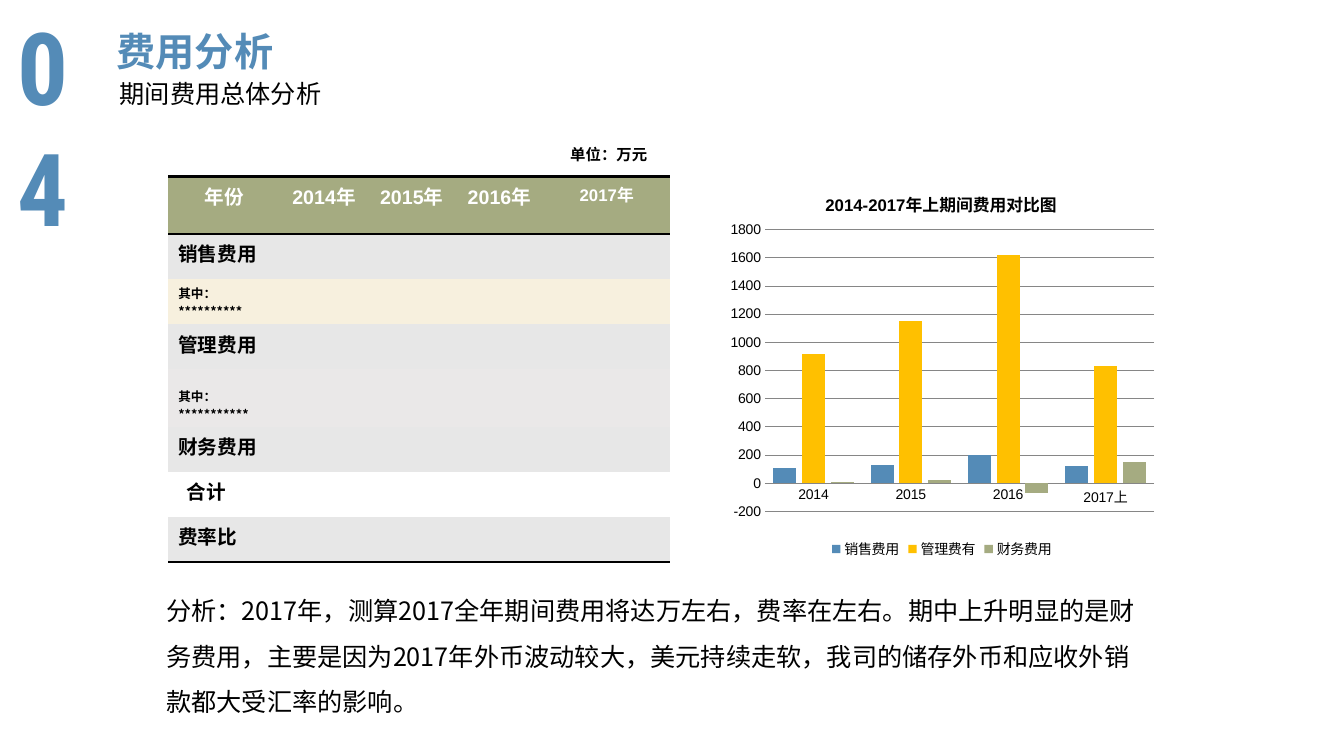
from lxml import etree
from pptx import Presentation
from pptx.chart.data import CategoryChartData
from pptx.dml.color import RGBColor
from pptx.enum.chart import XL_CHART_TYPE, XL_LEGEND_POSITION, XL_TICK_MARK
from pptx.enum.text import MSO_ANCHOR, PP_ALIGN
from pptx.oxml.ns import qn
from pptx.util import Cm, Pt

COLUMNS = XL_CHART_TYPE.COLUMN_CLUSTERED
LEGEND_BOTTOM = XL_LEGEND_POSITION.BOTTOM
NO_TICK = XL_TICK_MARK.NONE
LEFT, CENTER = PP_ALIGN.LEFT, PP_ALIGN.CENTER
TOP, MIDDLE, BOTTOM = MSO_ANCHOR.TOP, MSO_ANCHOR.MIDDLE, MSO_ANCHOR.BOTTOM

BLUE = RGBColor(0x54, 0x8B, 0xB7)
YELLOW = RGBColor(0xFF, 0xC0, 0x00)
OLIVE = RGBColor(0xA5, 0xAB, 0x81)
GRAY = RGBColor(0xE7, 0xE7, 0xE7)
PALE = RGBColor(0xEA, 0xE8, 0xE8)
CREAM = RGBColor(0xF7, 0xF0, 0xDE)
GRID = RGBColor(0x86, 0x86, 0x86)
WHITE = RGBColor(0xFF, 0xFF, 0xFF)
BLACK = RGBColor(0, 0, 0)

ARIAL, NOTO, ROBOTO = "Arial", "Noto Sans CJK SC", "Roboto Condensed"
NO_STYLE = "{2D5ABB26-0587-4C30-8999-92F81FD0307C}"

YEARS = ["年份", "2014年", "2015年", "2016年", "2017年"]
COL_WIDTHS = [2.82, 2.21, 2.21, 2.21, 3.2]
ROW_HEIGHT = 1.14
# Row label, size, fill
ROWS = [
    ("销售费用", 14, GRAY),
    ("其中：\n**********", 9, CREAM),
    ("管理费用", 14, GRAY),
    ("其中：\n***********", 9, PALE),
    ("财务费用", 14, GRAY),
    ("合计", 14, WHITE),
    ("费率比", 14, GRAY),
]
SECOND_DETAIL, TOTAL = 4, 6

CATEGORIES = ["2014", "2015", "2016", "2017上"]
SERIES = [
    ("销售费用", (110, 130, 200, 120), BLUE),
    ("管理费有", (920, 1150, 1620, 830), YELLOW),
    ("财务费用", (10, 20, -70, 150), OLIVE),
]


def write(tf, text, size, color=BLACK, font=ARIAL, bold=False, align=LEFT):
    """Fill a text frame, one paragraph per line, with one format."""
    tf.text = text
    for p in tf.paragraphs:
        p.alignment = align
        p.font.size, p.font.bold, p.font.name = Pt(size), bold, font
        p.font.color.rgb = color
        def_rpr = p._p.pPr.find(qn("a:defRPr"))
        etree.SubElement(def_rpr, qn("a:ea"), typeface=NOTO)


def add_text(s, box, text, size, **style):
    tf = s.shapes.add_textbox(*map(Cm, box)).text_frame
    tf.word_wrap = True
    write(tf, text, size, **style)
    return tf


def add_heading(s, box):
    left, top, width, height = box
    # Section number, one digit per line
    tf = add_text(s, (left, top, 2.87, 3.33), "04", 72,
                  color=BLUE, font=ROBOTO, bold=True)
    tf.margin_right = Cm(0.6)
    # Title
    title = s.shapes.title
    title.left, title.top = Cm(left + 2.44), Cm(top + 0.53)
    title.width, title.height = Cm(width - 2.44), Cm(1.5)
    tf = title.text_frame
    tf.margin_left = tf.margin_right = Cm(0.3)
    tf.margin_top = tf.margin_bottom = Cm(0.15)
    tf.vertical_anchor = MIDDLE
    write(tf, "费用分析", 28, color=BLUE, font=NOTO, bold=True)
    # Subtitle
    add_text(s, (left + 2.57, top + 1.85, width - 2.8, 1.02), "期间费用总体分析", 18)


def add_border(cell, side):
    ln = etree.Element(qn("a:" + side), w=str(Pt(2)))
    fill = etree.SubElement(ln, qn("a:solidFill"))
    etree.SubElement(fill, qn("a:srgbClr"), val=str(BLACK))
    tc_pr = cell._tc.get_or_add_tcPr()
    tc_pr.insert(len(tc_pr.findall(qn("a:lnT"))), ln)


def add_cost_table(s, box):
    left, top, width, height = box
    # Unit note
    add_text(s, (left + 9.88, top - 0.91, 3.6, 0.74), "单位：万元", 11, bold=True)
    # Grid
    table = s.shapes.add_table(len(ROWS) + 1, len(YEARS), *map(Cm, box)).table
    table._tbl.tblPr.find(qn("a:tableStyleId")).text = NO_STYLE
    table.first_row = table.horz_banding = False
    for col, col_width in zip(table.columns, COL_WIDTHS):
        col.width = Cm(col_width)
    for row in table.rows:
        row.height = Cm(ROW_HEIGHT)
    table.rows[SECOND_DETAIL].height = Cm(1.44)
    # Header row
    for i, year in enumerate(YEARS):
        cell = table.cell(0, i)
        size = 12 if i == len(YEARS) - 1 else 14
        write(cell.text_frame, year, size, color=WHITE, bold=True, align=CENTER)
        cell.fill.solid()
        cell.fill.fore_color.rgb = OLIVE
        add_border(cell, "lnT")
        add_border(cell, "lnB")
    # Cost rows
    for r, (label, size, color) in enumerate(ROWS, 1):
        for c in range(len(YEARS)):
            cell = table.cell(r, c)
            write(cell.text_frame, "" if c else label, size, font=NOTO, bold=True)
            cell.fill.solid()
            cell.fill.fore_color.rgb = color
            if r == len(ROWS):
                add_border(cell, "lnB")
    detail = table.cell(SECOND_DETAIL, 0)
    detail.vertical_anchor, detail.margin_bottom = BOTTOM, Cm(0.08)
    table.cell(TOTAL, 0).margin_left = Cm(0.47)


def place(node, index, **fractions):
    """Give a chart part a fixed place, in fractions of the chart."""
    old = node.find(qn("c:layout"))
    if old is not None:
        node.remove(old)
    layout = etree.Element(qn("c:layout"))
    manual = etree.SubElement(layout, qn("c:manualLayout"))
    if "w" in fractions:
        etree.SubElement(manual, qn("c:layoutTarget"), val="inner")
    for axis in "xy":
        etree.SubElement(manual, qn(f"c:{axis}Mode"), val="edge")
    for key, value in fractions.items():
        etree.SubElement(manual, qn("c:" + key), val=str(value))
    node.insert(index, layout)


def add_cost_chart(s, box):
    data = CategoryChartData()
    data.categories = CATEGORIES
    for name, values, _ in SERIES:
        data.add_series(name, values)
    chart = s.shapes.add_chart(COLUMNS, *map(Cm, box), data).chart
    chart.font.size, chart.font.name = Pt(10), ARIAL
    chart.font.color.rgb = BLACK
    # Title and legend
    write(chart.chart_title.text_frame, "2014-2017年上期间费用对比图", 12,
          bold=True, align=CENTER)
    chart.chart_title.include_in_layout = False
    place(chart.chart_title._element, 1, x=0.23, y=0.05)
    chart.has_legend = True
    chart.legend.position = LEGEND_BOTTOM
    chart.legend.include_in_layout = False
    # Columns
    plot = chart.plots[0]
    plot.gap_width, plot.overlap, plot.vary_by_categories = 75, -25, False
    for series, (_, _, color) in zip(plot.series, SERIES):
        series.invert_if_negative = False
        series.format.fill.solid()
        series.format.fill.fore_color.rgb = color
    # Axes
    cats, vals = chart.category_axis, chart.value_axis
    cats.major_tick_mark = vals.major_tick_mark = NO_TICK
    cats.format.line.color.rgb = GRID
    vals.format.line.fill.background()
    vals.minimum_scale, vals.maximum_scale, vals.major_unit = -200, 1800, 200
    vals.major_gridlines.format.line.color.rgb = GRID
    place(chart._chartSpace.chart.plotArea, 0, x=0.1, y=0.16, w=0.88, h=0.71)


def add_analysis(s, box):
    tf = add_text(
        s, box,
        "分析：2017年，测算2017全年期间费用将达万左右，费率在左右。"
        "期中上升明显的是财务费用，主要是因为2017年外币波动较大，"
        "美元持续走软，我司的储存外币和应收外销款都大受汇率的影响。",
        18, font=NOTO)
    tf.paragraphs[0].line_spacing = 1.5


def main():
    prs = Presentation()
    prs.slide_width, prs.slide_height = Cm(33.87), Cm(19.05)
    s = prs.slides.add_slide(prs.slide_layouts[5])
    add_heading(s, (0.2, 0, 17.12, 3.33))
    add_cost_table(s, (4.24, 4.45, 12.65, 9.47))
    add_cost_chart(s, (18.16, 4.19, 11.15, 10))
    add_analysis(s, (3.94, 14.5, 25.37, 3.71))
    prs.save("out.pptx")


if __name__ == "__main__":
    main()
